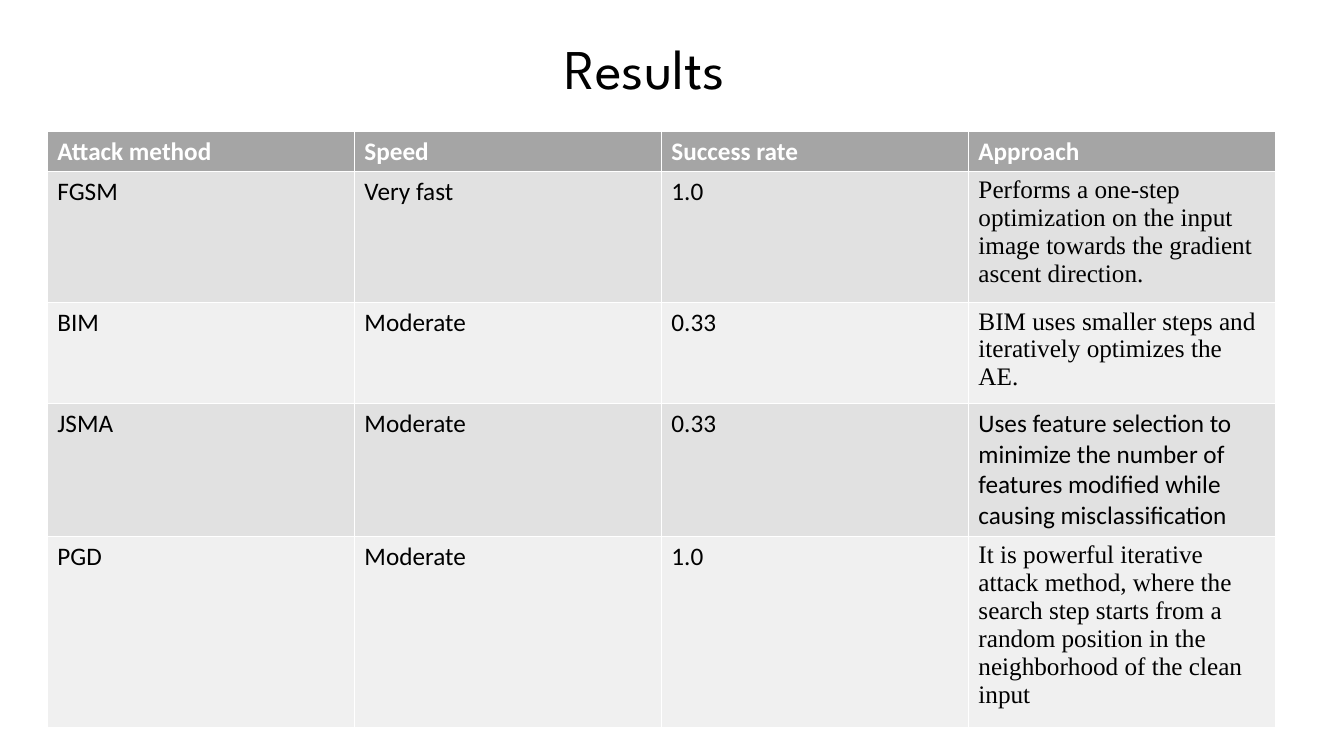
from pptx import Presentation
from pptx.dml.color import RGBColor as Rgb
from pptx.enum.text import MSO_ANCHOR as Anchor, MSO_AUTO_SIZE as Fit, PP_ALIGN as Align
from pptx.util import Inches, Pt

COLORS = {"head": "A5A5A5", "odd": "E1E1E1", "even": "F0F0F0",
          "light": "FFFFFF", "dark": "000000"}
SANS, SERIF = "Calibri", "Times New Roman"
HEADS = ["Attack method", "Speed", "Success rate", "Approach"]
ATTACKS = [
    ("FGSM", "Very fast", "1.0", "Performs a one-step optimization on the input image "
     "towards the gradient ascent direction.", SERIF),
    ("BIM", "Moderate", "0.33", "BIM uses smaller steps and iteratively optimizes the AE.",
     SERIF),
    ("JSMA", "Moderate", "0.33", "Uses feature selection to minimize the number of "
     "features modified while causing misclassification", SANS),
    ("PGD", "Moderate", "1.0", "It is powerful iterative attack method, where the search "
     "step starts from a random position in the neighborhood of the clean input", SERIF),
]
HEIGHTS = [0.4, 1.21, 0.93, 1.32, 1.76]


def format_all(item, values):
    for name, value in values.items():
        setattr(item, name, value)


def write(frame, text, color, **values):
    frame.text = text
    font = frame.paragraphs[0].runs[0].font
    format_all(font, values)
    font.color.rgb = Rgb.from_string(COLORS[color])


def add_title(slide, box, text):
    title = slide.shapes.title
    left, top, width, height = map(Inches, box)
    format_all(title, {"left": left, "top": top, "width": width, "height": height})
    frame = title.text_frame
    write(frame, text, "dark", name="League Spartan", size=Pt(40))
    format_all(frame, {"word_wrap": True, "auto_size": Fit.SHAPE_TO_FIT_TEXT,
                       "vertical_anchor": Anchor.TOP})
    frame.paragraphs[0].alignment = Align.CENTER


def fill_cell(cell, text, fill, color, **values):
    cell.fill.solid()
    cell.fill.fore_color.rgb = Rgb.from_string(COLORS[fill])
    write(cell.text_frame, text, color, size=Pt(18), **values)


def add_results(slide, box):
    left, top, width = map(Inches, box)
    height = Inches(sum(HEIGHTS))
    table = slide.shapes.add_table(len(HEIGHTS), len(HEADS), left, top, width, height).table
    for row, size in zip(table.rows, HEIGHTS):
        row.height = Inches(size)
    for col, head in enumerate(HEADS):
        fill_cell(table.cell(0, col), head, "head", "light", name=SANS, bold=True)
    for row, (*texts, face) in enumerate(ATTACKS, 1):
        fill = "odd" if row % 2 else "even"
        for col, text in enumerate(texts):
            name = face if HEADS[col] == "Approach" else SANS
            fill_cell(table.cell(row, col), text, fill, "dark", name=name, bold=False)


def main():
    deck = Presentation()
    format_all(deck, {"slide_width": Inches(13.33), "slide_height": Inches(7.5)})
    slide = deck.slides.add_slide(deck.slide_layouts[5])
    add_results(slide, (0.47, 1.3, 12.18))
    add_title(slide, (0.8, 0.28, 11.19, 0.77), "Results")
    deck.save("out.pptx")


if __name__ == "__main__":
    main()
